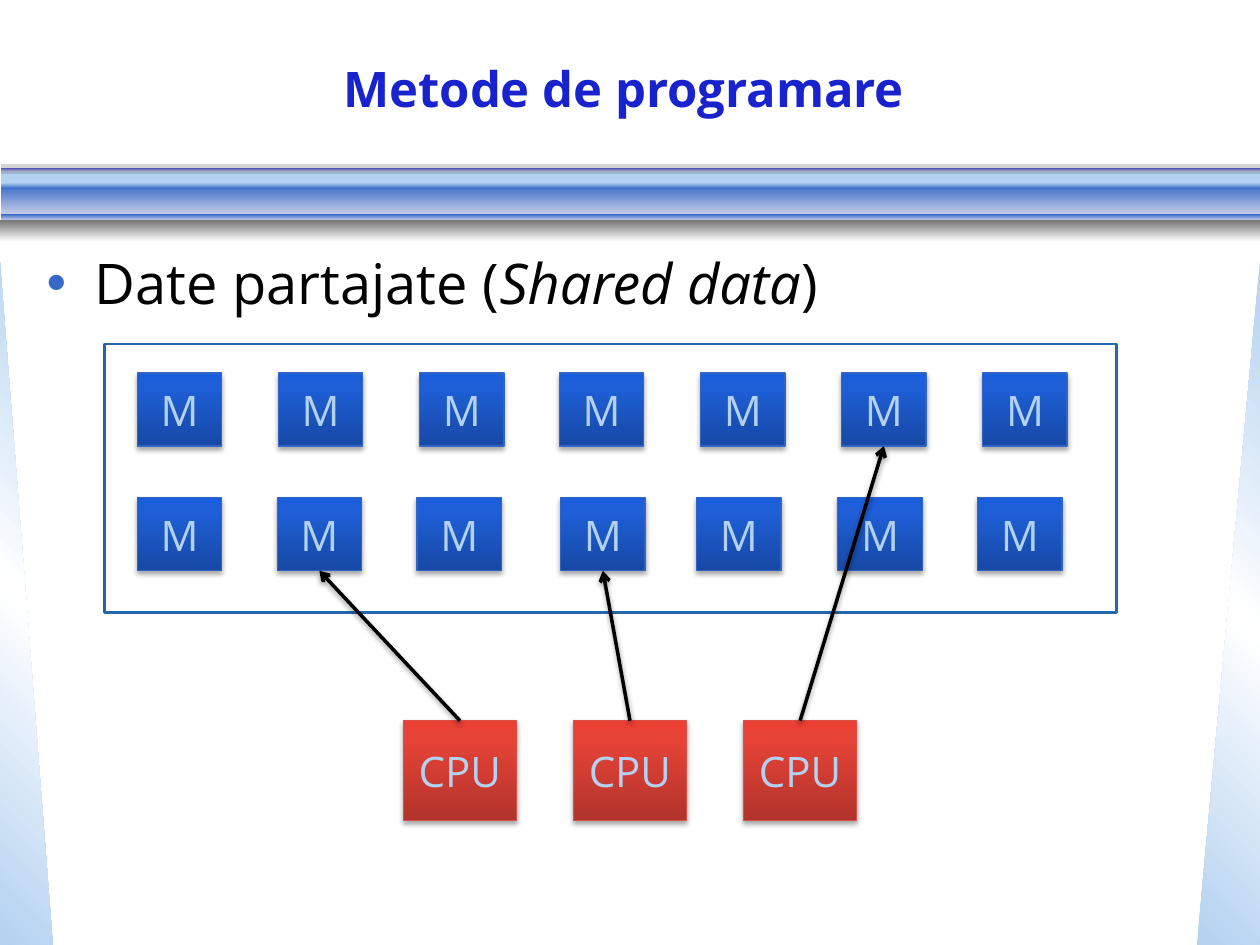
"""Builds a slide on shared data: three CPUs reaching into a grid of memory blocks."""
from lxml.etree import SubElement
from pptx import Presentation
from pptx.dml.color import RGBColor
from pptx.enum.shapes import MSO_CONNECTOR, MSO_SHAPE
from pptx.enum.text import MSO_ANCHOR, MSO_AUTO_SIZE, PP_ALIGN
from pptx.oxml.ns import qn
from pptx.util import Inches, Pt

HUES = {
    "pale": "B3D1F0", "white": "FFFFFF", "blue": "3568C7", "mist": "CAD0E9",
    "navy": "1822CD", "lilac": "BABBE7", "grey": "777777", "black": "000000",
    "deep": "1749A5", "mid": "1E5ED6", "bright": "1B5EDB", "edge": "3065C6",
    "wine": "B1332B", "red": "E64337", "flame": "EB4034", "rim": "D85249",
    "frame": "2368AF",
}


def paint(shape, stops, angle=0, edge=None):
    """Fill a shape with one colour or with a gradient, and outline it."""
    shape.shadow.inherit = False
    if len(stops) == 1:
        shape.fill.solid()
        shape.fill.fore_color.rgb = RGBColor.from_string(HUES[stops[0][1]])
    else:
        props = shape._element.spPr
        grad = SubElement(props, qn("a:gradFill"), rotWithShape="1")
        props.find(qn("a:prstGeom")).addnext(grad)
        items = SubElement(grad, qn("a:gsLst"))
        for place, hue in stops:
            stop = SubElement(items, qn("a:gs"), pos=str(place * 1000))
            SubElement(stop, qn("a:srgbClr"), val=HUES[hue])
        SubElement(grad, qn("a:lin"), ang=str(angle * 60000), scaled="0")
    if edge:
        shape.line.color.rgb = RGBColor.from_string(HUES[edge])
        shape.line.width = Pt(0.75)
    else:
        shape.line.fill.background()


def shade(shape, alpha, gap):
    """Give a shape a soft shadow that falls straight down."""
    props = shape._element.spPr
    found = props.find(qn("a:effectLst"))
    effect = SubElement(props, qn("a:effectLst")) if found is None else found
    outer = SubElement(effect, qn("a:outerShdw"), blurRad=str(Pt(3.1)),
                       dist=str(Pt(gap)), dir="5400000", rotWithShape="0")
    color = SubElement(outer, qn("a:srgbClr"), val=HUES["black"])
    SubElement(color, qn("a:alpha"), val=str(alpha * 1000))


deck = Presentation()
deck.slide_width, deck.slide_height = Inches(10), Inches(7.5)
slide = deck.slides.add_slide(deck.slide_layouts[1])
shapes = slide.shapes

sheen = [(0, "pale"), (50, "white"), (100, "pale")]
for left, width, angle, flip in [(0, 0.42, 315, "0"), (9.5, 0.5, 45, "1")]:
    wedge = shapes.add_shape(MSO_SHAPE.RIGHT_TRIANGLE, Inches(left), Inches(2.08),
                             Inches(width), Inches(5.42))
    paint(wedge, sheen, angle)
    wedge._element.spPr.xfrm.set("flipH", flip)

bands = [
    (0.01, 1.36, 0.1, ["pale"], "1"),
    (0.01, 1.46, 0.25, ["blue", "mist"], "0"),
    (0.01, 1.33, 0.03, ["navy", "lilac"], "0"),
    (0.01, 1.7, 0.05, ["mist", "blue"], "1"),
    (0.01, 1.45, 0.05, ["pale", "blue"], "0"),
    (0, 1.75, 0.17, ["grey", "white"], "0"),
    (0.01, 1.3, 0.08, ["grey"], "0"),
]
for left, top, height, hues, flip in bands:
    band = shapes.add_shape(MSO_SHAPE.RECTANGLE, Inches(left), Inches(top),
                            Inches(10 - left), Inches(height))
    paint(band, list(zip((0, 100), hues)), 90)
    band._element.spPr.xfrm.set("flipV", flip)
tint = band._element.spPr.find(qn("a:solidFill"))[0]
SubElement(tint, qn("a:alpha"), val="31000")

title, body = shapes.title, slide.placeholders[1]
texts = [
    (title, (0.5, 0.5, 9, 0.4), MSO_ANCHOR.MIDDLE, [("Metode de programare ", False)],
     {"size": Pt(28), "bold": True}, "navy"),
    (body, (0.27, 1.92, 8.82, 0.81), MSO_ANCHOR.TOP,
     [("Date partajate (", False), ("Shared data", True), (")", False)],
     {"size": Pt(32), "bold": False}, "black"),
]
for holder, box, anchor, runs, looks, hue in texts:
    shapes._spTree.append(holder._element)
    holder.left, holder.top, holder.width, holder.height = map(Inches, box)
    frame = holder.text_frame
    frame.auto_size, frame.vertical_anchor = MSO_AUTO_SIZE.NONE, anchor
    for words, slant in runs:
        run = frame.paragraphs[0].add_run()
        run.text = words
        for name, value in {**looks, "name": "Open Sans", "italic": slant}.items():
            setattr(run.font, name, value)
        run.font.color.rgb = RGBColor.from_string(HUES[hue])
title.text_frame.paragraphs[0].alignment = PP_ALIGN.CENTER

para = body.text_frame.paragraphs[0]._p.get_or_add_pPr()
para.set("marL", str(Inches(0.38)))
para.set("indent", str(Inches(-0.38)))
SubElement(SubElement(para, qn("a:buClr")), qn("a:srgbClr"), val=HUES["blue"])
SubElement(para, qn("a:buFont"), typeface="Arial")
SubElement(para, qn("a:buChar"), char="•")

cool = [(0, "deep"), (80, "mid"), (100, "bright")]
warm = [(0, "wine"), (80, "red"), (100, "flame")]
rows = [
    ("M", 2.96, 0.67, 0.58, cool, "edge", [1.09, 2.21, 3.33, 4.44, 5.56, 6.68, 7.8]),
    ("M", 3.95, 0.67, 0.58, cool, "edge", [1.09, 2.2, 3.31, 4.45, 5.53, 6.65, 7.76]),
    ("CPU", 5.72, 0.9, 0.79, warm, "rim", [3.2, 4.55, 5.9]),
]
grid = []
for label, top, width, height, stops, edge, lefts in rows:
    grid.append([])
    for left in lefts:
        block = shapes.add_shape(MSO_SHAPE.RECTANGLE, Inches(left), Inches(top),
                                 Inches(width), Inches(height))
        paint(block, stops, 270, edge)
        shade(block, 35, 1.8)
        frame = block.text_frame
        frame.word_wrap, frame.vertical_anchor = False, MSO_ANCHOR.MIDDLE
        frame.text = label
        line = frame.paragraphs[0]
        line.alignment = PP_ALIGN.CENTER
        for name, value in {"size": Pt(24), "name": "Open Sans"}.items():
            setattr(line.runs[0].font, name, value)
        line.runs[0].font.color.rgb = RGBColor.from_string(HUES["pale"])
        grid[-1].append(block)

border = shapes.add_shape(MSO_SHAPE.RECTANGLE, Inches(0.83), Inches(2.73),
                          Inches(8.03), Inches(2.13))
border.shadow.inherit = False
border.fill.background()
border.line.color.rgb = RGBColor.from_string(HUES["frame"])
border.line.width = Pt(1.5)

upper, lower, chips = grid
for chip, cell in zip(chips, [lower[1], lower[3], upper[5]]):
    arrow = shapes.add_connector(MSO_CONNECTOR.STRAIGHT, 0, 0, 0, 0)
    arrow.begin_connect(chip, 0)
    arrow.end_connect(cell, 2)
    arrow.line.color.rgb = RGBColor.from_string(HUES["black"])
    arrow.line.width = Pt(2)
    SubElement(arrow.line._get_or_add_ln(), qn("a:tailEnd"), type="arrow")
    shade(arrow, 38, 1.6)

deck.save("out.pptx")
